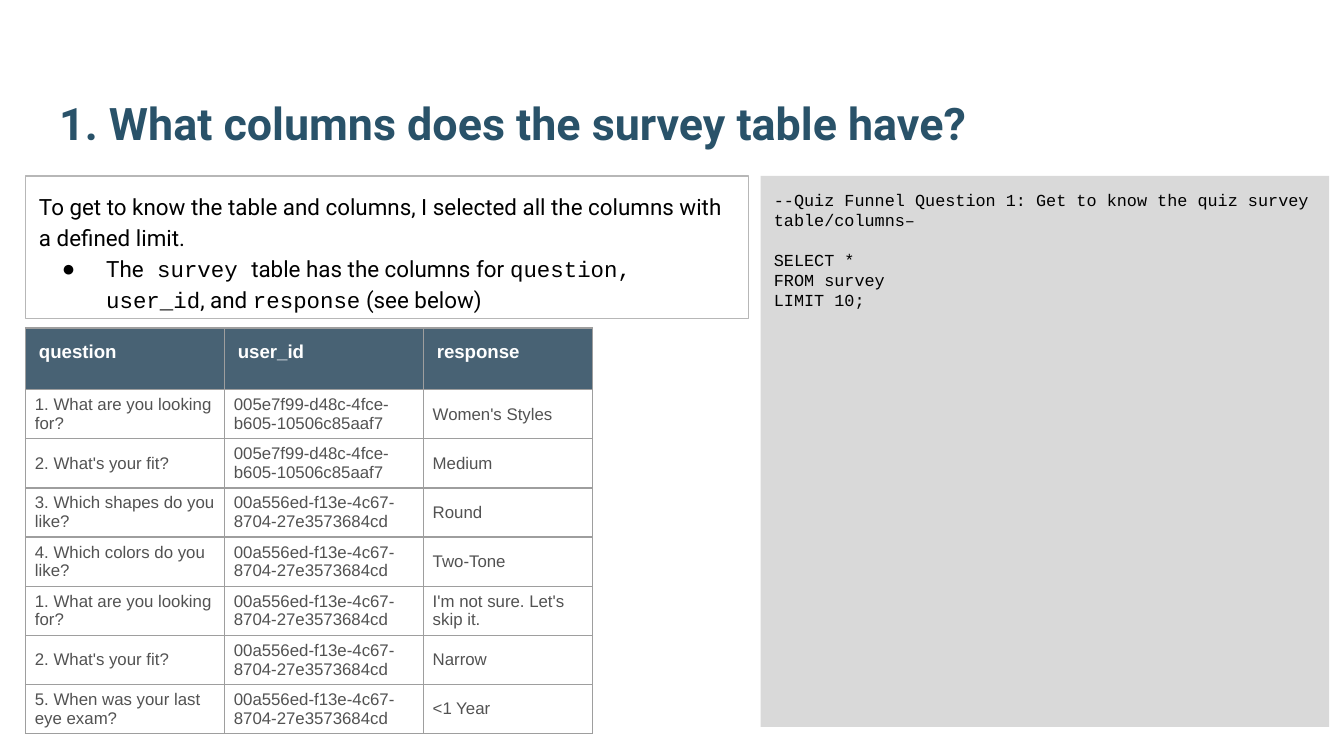
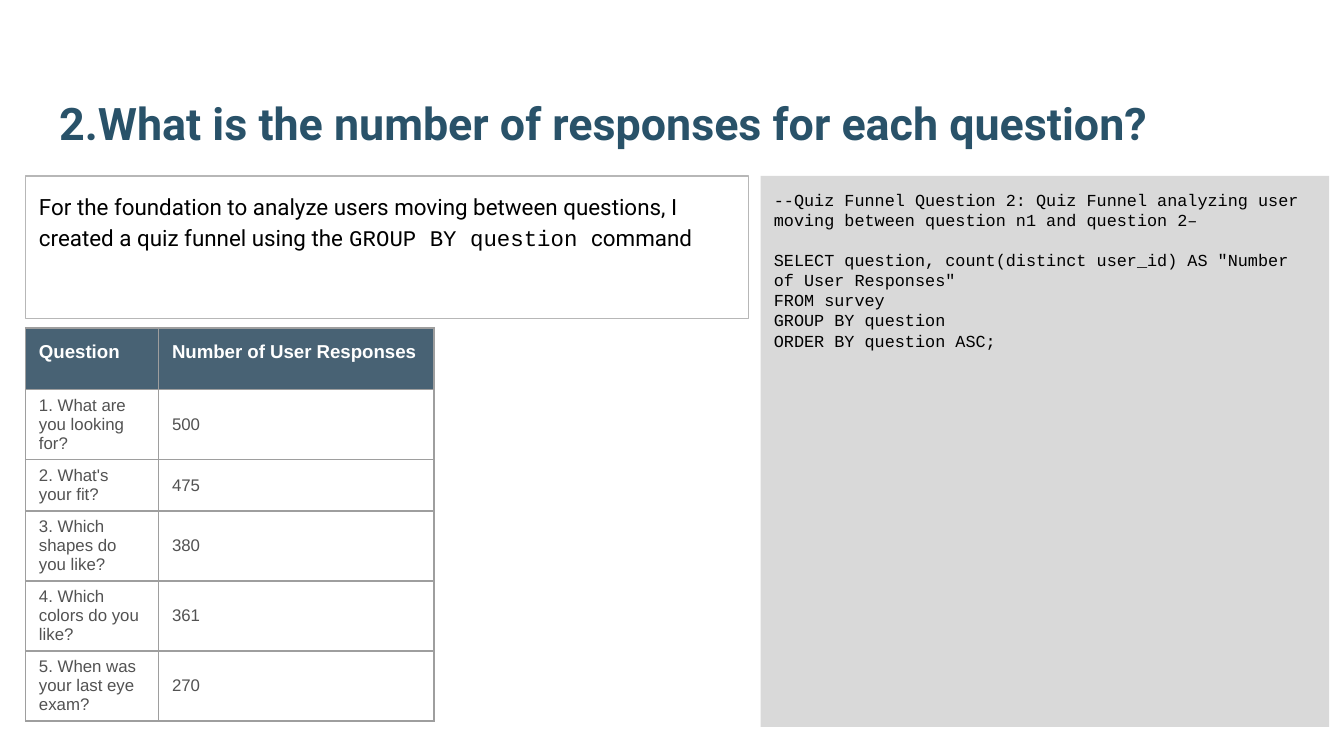
"""Build two quiz funnel slides, each with a finding, its result table and the query."""
from lxml import etree
from pptx import Presentation
from pptx.dml.color import RGBColor
from pptx.enum.shapes import MSO_SHAPE
from pptx.enum.text import MSO_ANCHOR, MSO_AUTO_SIZE, PP_ALIGN
from pptx.oxml import parse_xml
from pptx.oxml.ns import nsdecls, qn
from pptx.util import Inches, Pt

TITLE = RGBColor(0x29, 0x52, 0x69)
HEADER = RGBColor(0x20, 0x40, 0x56)
PANEL = RGBColor(0xD9, 0xD9, 0xD9)
OUTLINE = RGBColor(0xB7, 0xB7, 0xB7)
GRID = RGBColor(0x9E, 0x9E, 0x9E)
GREY = RGBColor(0x52, 0x52, 0x52)
BLACK = RGBColor(0, 0, 0)
WHITE = RGBColor(0xFF, 0xFF, 0xFF)
SANS, MONO, TABLE_FONT = "Roboto", "Courier New", "Arial"
HEADER_HEIGHT = 0.46
ROW_HEIGHT = (3.02 - HEADER_HEIGHT) / 7

USER_A = "005e7f99-d48c-4fce-b605-10506c85aaf7"
USER_B = "00a556ed-f13e-4c67-8704-27e3573684cd"
LOOKING = "1. What are you looking for?"
FIT = "2. What's your fit?"
SHAPES = "3. Which shapes do you like?"
COLORS = "4. Which colors do you like?"
EXAM = "5. When was your last eye exam?"

SLIDES = [
    {
        "title": "1. What columns does the survey table have?",
        "finding": "To get to know the table and columns, I selected all the columns with a defined limit.",
        "bullets": ["The` survey `table has the columns for `question, user_id`, and `response` (see below)"],
        "comment": "--Quiz Funnel Question 1: Get to know the quiz survey table/columns–",
        "query": ["SELECT *", "FROM survey", "LIMIT 10;"],
        "widths": [1.48, 1.48, 1.26],
        "insets": (0.07, 0.03),
        "rows": [
            ("question", "user_id", "response"),
            (LOOKING, USER_A, "Women's Styles"),
            (FIT, USER_A, "Medium"),
            (SHAPES, USER_B, "Round"),
            (COLORS, USER_B, "Two-Tone"),
            (LOOKING, USER_B, "I'm not sure. Let's skip it."),
            (FIT, USER_B, "Narrow"),
            (EXAM, USER_B, "<1 Year"),
        ],
    },
    {
        "title": "2.What is the number of responses for each question?",
        "finding": "For the foundation to analyze users moving between questions, "
                   "I created a quiz funnel using the `GROUP BY question `command",
        "bullets": [],
        "comment": "--Quiz Funnel Question 2: Quiz Funnel analyzing user moving between question n1 and question 2–",
        "query": ['SELECT question, count(distinct user_id) AS "Number of User Responses"',
                  "FROM survey", "GROUP BY question", "ORDER BY question ASC;"],
        "widths": [0.99, 2.05],
        "insets": (0.1, 0.05),
        "rows": [
            ("Question", "Number of User Responses"),
            (LOOKING, "500"),
            (FIT, "475"),
            (SHAPES, "380"),
            (COLORS, "361"),
            (EXAM, "270"),
        ],
    },
]


def write(p, text, font=SANS, size=12, color=BLACK, bold=False, before=0, spacing=None):
    """Fill a paragraph, setting the parts between backticks in the code font."""
    p.alignment = PP_ALIGN.LEFT
    p.space_before = Pt(before)
    p.line_spacing = spacing
    for i, part in enumerate(text.split("`")):
        r = p.add_run()
        r.text = part
        r.font.name = MONO if i % 2 else font
        r.font.size = Pt(size)
        r.font.bold = bold
        r.font.color.rgb = color


def frame(sp, left, top, width, height, anchor=MSO_ANCHOR.TOP):
    """Place a shape and return its text frame with even insets."""
    sp.left, sp.top, sp.width, sp.height = (Inches(v) for v in (left, top, width, height))
    tf = sp.text_frame
    tf.word_wrap = True
    tf.auto_size = MSO_AUTO_SIZE.NONE
    tf.vertical_anchor = anchor
    tf.margin_left = tf.margin_right = tf.margin_top = tf.margin_bottom = Inches(0.1)
    return tf


prs = Presentation()
prs.slide_width = Inches(10)
prs.slide_height = Inches(10 * 9 / 16)

for content in SLIDES:
    s = prs.slides.add_slide(prs.slide_layouts[1])
    title, body = s.placeholders[0], s.placeholders[1]

    tf = frame(title, 0.34, 0.29, 9.32, 0.92, MSO_ANCHOR.BOTTOM)
    write(tf.paragraphs[0], content["title"], size=24, color=TITLE, bold=True)

    panel = s.shapes.add_shape(MSO_SHAPE.RECTANGLE, 0, 0, 0, 0)
    panel.shadow.inherit = False
    panel.fill.solid()
    panel.fill.fore_color.rgb = PANEL
    panel.line.fill.background()
    tf = frame(panel, 5.66, 1.31, 4.23, 4.1)
    write(tf.paragraphs[0], content["comment"], font=MONO, size=9)
    for i, line in enumerate(content["query"]):
        write(tf.add_paragraph(), line, font=MONO, size=9, before=0 if i else 10.5)

    body.line.color.rgb = OUTLINE
    body.line.width = Pt(0.75)
    tf = frame(body, 0.19, 1.31, 5.38, 1.06)
    p = tf.paragraphs[0]
    pPr = p._p.get_or_add_pPr()
    pPr.set("marL", "0")
    pPr.set("indent", "0")
    etree.SubElement(pPr, qn("a:buNone"))
    write(p, content["finding"], spacing=1.15)
    for text in content["bullets"]:
        p = tf.add_paragraph()
        pPr = p._p.get_or_add_pPr()
        pPr.set("marL", str(Inches(0.5)))
        pPr.set("indent", str(Inches(-0.33)))
        etree.SubElement(pPr, qn("a:buChar")).set("char", "●")
        write(p, text, spacing=1.15)

    rows, widths = content["rows"], content["widths"]
    heights = [HEADER_HEIGHT] + [ROW_HEIGHT] * (len(rows) - 1)
    table = s.shapes.add_table(len(rows), len(widths), Inches(0.19), Inches(2.44),
                               Inches(sum(widths)), Inches(sum(heights))).table
    table.horz_banding = False
    for col, width in zip(table.columns, widths):
        col.width = Inches(width)
    for row, height, values in zip(table.rows, heights, rows):
        row.height = Inches(height)
        is_header = values is rows[0]
        for cell, value in zip(row.cells, values):
            inset_x, inset_y = (0.1, 0.1) if is_header else content["insets"]
            cell.margin_left = cell.margin_right = Inches(inset_x)
            cell.margin_top = cell.margin_bottom = Inches(inset_y)
            cell.vertical_anchor = MSO_ANCHOR.TOP if is_header else MSO_ANCHOR.MIDDLE
            tcPr = cell._tc.get_or_add_tcPr()
            for side in "LRTB":
                tcPr.append(parse_xml(
                    f'<a:ln{side} {nsdecls("a")} w="{Pt(0.75)}"><a:solidFill>'
                    f'<a:srgbClr val="{GRID}"/></a:solidFill></a:ln{side}>'))
            p = cell.text_frame.paragraphs[0]
            if is_header:
                cell.fill.solid()
                cell.fill.fore_color.rgb = HEADER
                color = tcPr.find(qn("a:solidFill")).find(qn("a:srgbClr"))
                etree.SubElement(color, qn("a:alpha")).set("val", "82000")
                write(p, value, font=TABLE_FONT, size=10, color=WHITE, bold=True)
            else:
                cell.fill.background()
                write(p, value, font=TABLE_FONT, size=9, color=GREY)

prs.save("out.pptx")
